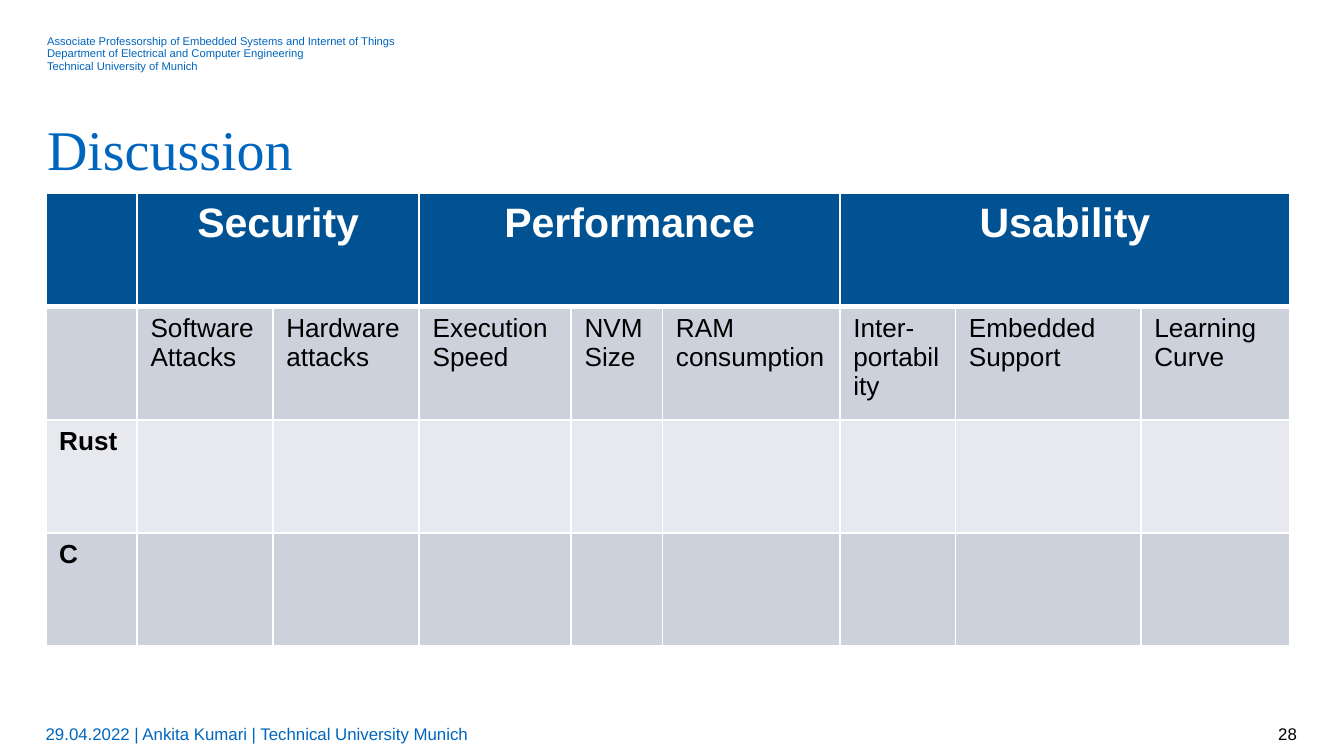
import pptx
import pptx.dml.color
import pptx.enum.text
import pptx.oxml
import pptx.oxml.ns
import pptx.util
from pptx.util import Inches

ALIGN = pptx.enum.text.PP_ALIGN
ANCHOR = pptx.enum.text.MSO_ANCHOR
BLUE, NAVY, BLACK, WHITE = "0065BD", "005293", "000000", "FFFFFF"
BAND_DARK, BAND_LIGHT = "CCD1DC", "E7E9EE"

COLUMN_WIDTHS = [0.68, 1.01, 1.09, 1.13, 0.68, 1.32, 0.86, 1.38, 1.11]
GROUPS = [("Security", 1, 2), ("Performance", 3, 5), ("Usability", 6, 8)]
CRITERIA = ["Software\nAttacks", "Hardware attacks", "Execution Speed",
            "NVM Size", "RAM consumption", "Inter-portability",
            "Embedded Support", "Learning Curve"]
LANGUAGES = ["Rust", "C"]


def rgb(value):
    return pptx.dml.color.RGBColor.from_string(value)


def write(tf, text, size, color, font="Arial", bold=False,
          align=ALIGN.LEFT, spacing=None):
    tf.text = text
    for p in tf.paragraphs:
        p.alignment = align
        p.line_spacing = spacing
        p.font.name = font
        p.font.size = pptx.util.Pt(size)
        p.font.bold = bold
        p.font.color.rgb = rgb(color)


def set_frame(tf, anchor=ANCHOR.TOP, pad=0):
    tf.word_wrap = True
    tf.auto_size = pptx.enum.text.MSO_AUTO_SIZE.NONE
    tf.vertical_anchor = anchor
    tf.margin_left = tf.margin_right = 0
    tf.margin_top = tf.margin_bottom = Inches(pad)


def add_text(s, box, text, size, color, anchor=ANCHOR.TOP, pad=0, **style):
    tf = s.shapes.add_textbox(*map(Inches, box)).text_frame
    set_frame(tf, anchor, pad)
    write(tf, text, size, color, **style)


def add_header(s, box):
    add_text(s, box,
             "Associate Professorship of Embedded Systems and Internet of Things\n"
             "Department of Electrical and Computer Engineering\n"
             "Technical University of Munich", 6, BLUE, spacing=0.94)


def add_title(s, box):
    title = s.shapes.title
    title.left, title.top, title.width, title.height = map(Inches, box)
    set_frame(title.text_frame)
    write(title.text_frame, "Discussion", 30, BLUE,
          font="Times New Roman", spacing=1.07)


def style_cell(cell, fill, top=1, bottom=1):
    cell.fill.solid()
    cell.fill.fore_color.rgb = rgb(fill)
    tc_pr = cell._tc.get_or_add_tcPr()
    sides = [("L", 1), ("R", 1), ("T", top), ("B", bottom)]
    for i, (side, width) in enumerate(sides):
        tc_pr.insert(i, pptx.oxml.parse_xml(
            f'<a:ln{side} {pptx.oxml.ns.nsdecls("a")} w="{pptx.util.Pt(width)}">'
            f'<a:solidFill><a:srgbClr val="{WHITE}"/></a:solidFill></a:ln{side}>'))


def add_comparison(s, box):
    fills = [NAVY, BAND_DARK, BAND_LIGHT, BAND_DARK]
    frame = s.shapes.add_table(len(fills), len(COLUMN_WIDTHS), *map(Inches, box))
    table = frame.table
    for column, width in zip(table.columns, COLUMN_WIDTHS):
        column.width = Inches(width)

    # Fills and borders, with a heavy rule under the heading row
    for r, fill in enumerate(fills):
        for c in range(len(COLUMN_WIDTHS)):
            style_cell(table.cell(r, c), fill,
                       top=3 if r == 1 else 1, bottom=3 if r == 0 else 1)

    # Group headings
    for name, first, last in GROUPS:
        cell = table.cell(0, first)
        cell.merge(table.cell(0, last))
        write(cell.text_frame, name, 22, WHITE, bold=True, align=ALIGN.CENTER)

    # Criteria and languages
    for c, name in enumerate(CRITERIA, 1):
        write(table.cell(1, c).text_frame, name, 14, BLACK)
    for r, name in enumerate(LANGUAGES, 2):
        write(table.cell(r, 0).text_frame, name, 14, BLACK, bold=True)


def add_footer(s, box):
    left, top, width, height = box
    number_width = 2.24
    text_width = width - number_width
    add_text(s, (left, top, text_width, height),
             "29.04.2022 | Ankita Kumari | Technical University Munich",
             9, BLUE, ANCHOR.MIDDLE, 0.04)
    add_text(s, (left + text_width, top, number_width, height), "28",
             9, BLACK, ANCHOR.MIDDLE, 0.04, align=ALIGN.RIGHT)


def main():
    prs = pptx.Presentation()
    prs.slide_width = Inches(10)
    prs.slide_height = Inches(10 * 9 / 16)  # widescreen
    s = prs.slides.add_slide(prs.slide_layouts[5])  # Title Only
    add_header(s, (0.35, 0.26, 8.42, 0.29))
    add_title(s, (0.35, 0.82, 9.31, 0.54))
    add_comparison(s, (0.34, 1.44, 9.26, 3.37))
    add_footer(s, (0.34, 5.31, 9.31, 0.3))
    prs.save("out.pptx")


if __name__ == "__main__":
    main()
